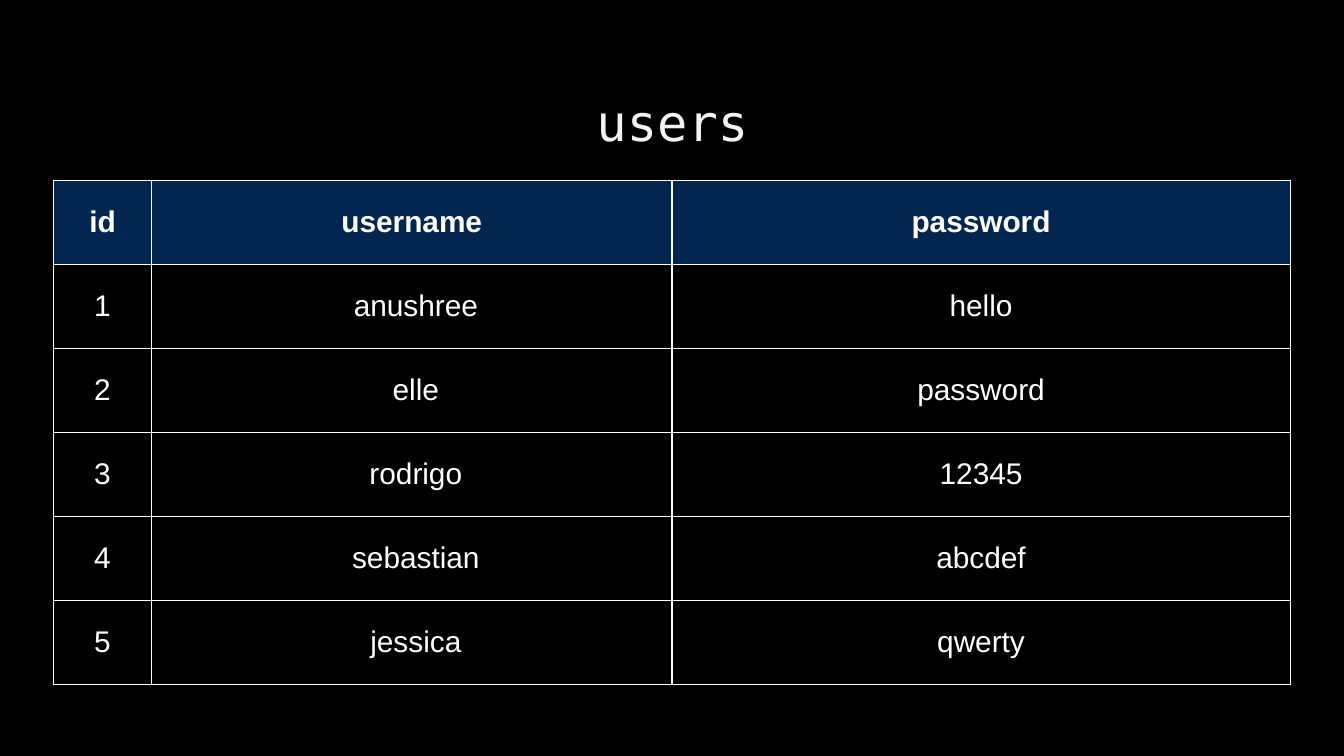
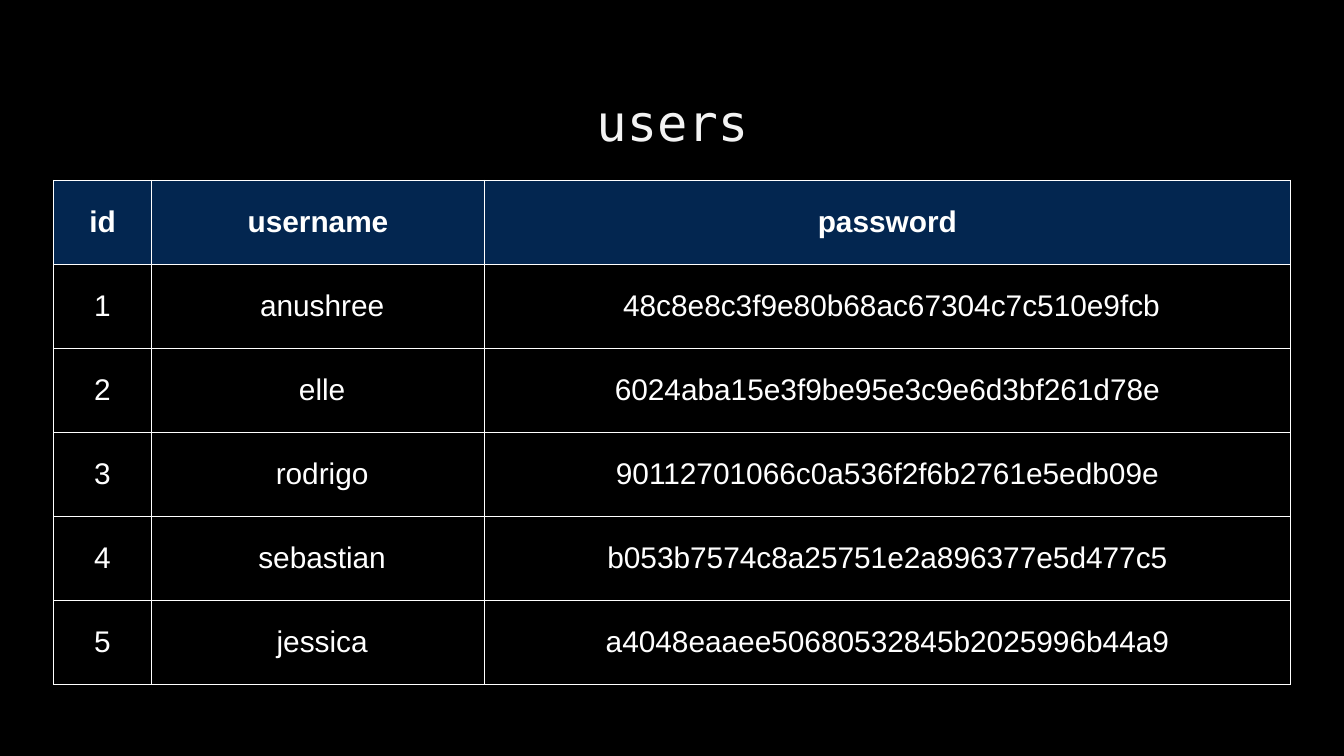
from lxml.etree import SubElement
from pptx import Presentation
from pptx.dml.color import RGBColor
from pptx.enum.text import MSO_ANCHOR, PP_ALIGN
from pptx.oxml.ns import qn
from pptx.util import Pt

BLACK, WHITE, NAVY, LIGHT = "000000", "FFFFFF", "032650", "F3F3F3"
HEADER = ("id", "username", "password")
USERNAMES = (" anushree", " elle", " rodrigo", " sebastian", " jessica")
PLAIN = ("hello", "password", "12345", "abcdef", "qwerty")
HASHED = (
    " 48c8e8c3f9e80b68ac67304c7c510e9fcb",
    "6024aba15e3f9be95e3c9e6d3bf261d78e",
    "90112701066c0a536f2f6b2761e5edb09e",
    "b053b7574c8a25751e2a896377e5d477c5",
    "a4048eaaee50680532845b2025996b44a9",
)
TABLE_WIDTH, ID_WIDTH, ROW_HEIGHT, INSET = 662.6, 52.6, 45, 7.2


def color(value):
    return RGBColor.from_string(value)


class Deck:
    def __init__(self):
        self.prs = Presentation()
        self.prs.slide_width, self.prs.slide_height = Pt(720), Pt(405)

    def slide(self):
        self.s = self.prs.slides.add_slide(self.prs.slide_layouts[6])
        fill = self.s.background.fill
        fill.solid()
        fill.fore_color.rgb = color(BLACK)

    def inset(self, box):
        box.margin_left = box.margin_right = Pt(INSET)
        box.margin_top = box.margin_bottom = Pt(INSET)

    def text(self, p, text, size, font, hue, bold=False):
        p.text = text
        p.alignment = PP_ALIGN.CENTER
        p.font.size, p.font.name, p.font.bold = Pt(size), font, bold
        p.font.color.rgb = color(hue)

    def title(self, text):
        sp = self.s.shapes.add_textbox(Pt(174.2), Pt(36.7), Pt(372), Pt(49))
        tf = sp.text_frame
        tf.word_wrap = True
        self.inset(tf)
        p = tf.paragraphs[0]
        p.line_spacing = 1.15
        self.text(p, text, 27, "DejaVu Sans Mono", LIGHT)

    def borders(self, cell):
        tcPr = cell._tc.get_or_add_tcPr()
        for i, side in enumerate(("lnL", "lnR", "lnT", "lnB")):
            ln = SubElement(tcPr, qn(f"a:{side}"), w=str(Pt(0.75)))
            SubElement(SubElement(ln, qn("a:solidFill")), qn("a:srgbClr"), val=WHITE)
            tcPr.insert(i, ln)

    def table(self, rows, username_width):
        widths = (ID_WIDTH, username_width, TABLE_WIDTH - ID_WIDTH - username_width)
        frame = self.s.shapes.add_table(
            len(rows), len(widths), Pt(28.6), Pt(96.7),
            Pt(TABLE_WIDTH), Pt(ROW_HEIGHT * len(rows)))
        table = frame.table
        table.horz_banding = False
        for column, width in zip(table.columns, widths):
            column.width = Pt(width)
        for r, values in enumerate(rows):
            table.rows[r].height = Pt(ROW_HEIGHT)
            for c, value in enumerate(values):
                cell = table.cell(r, c)
                self.inset(cell)
                cell.vertical_anchor = MSO_ANCHOR.MIDDLE
                if r == 0:
                    cell.fill.solid()
                    cell.fill.fore_color.rgb = color(NAVY)
                else:
                    cell.fill.background()
                self.borders(cell)
                p = cell.text_frame.paragraphs[0]
                self.text(p, value, 16, "Arial", WHITE, bold=r == 0)


def main():
    deck = Deck()
    for passwords, username_width in ((PLAIN, 278.8), (HASHED, 178.4)):
        ids = map(str, range(1, len(USERNAMES) + 1))
        deck.slide()
        deck.table([HEADER, *zip(ids, USERNAMES, passwords)], username_width)
        deck.title("users")
    deck.prs.save("out.pptx")


if __name__ == "__main__":
    main()
